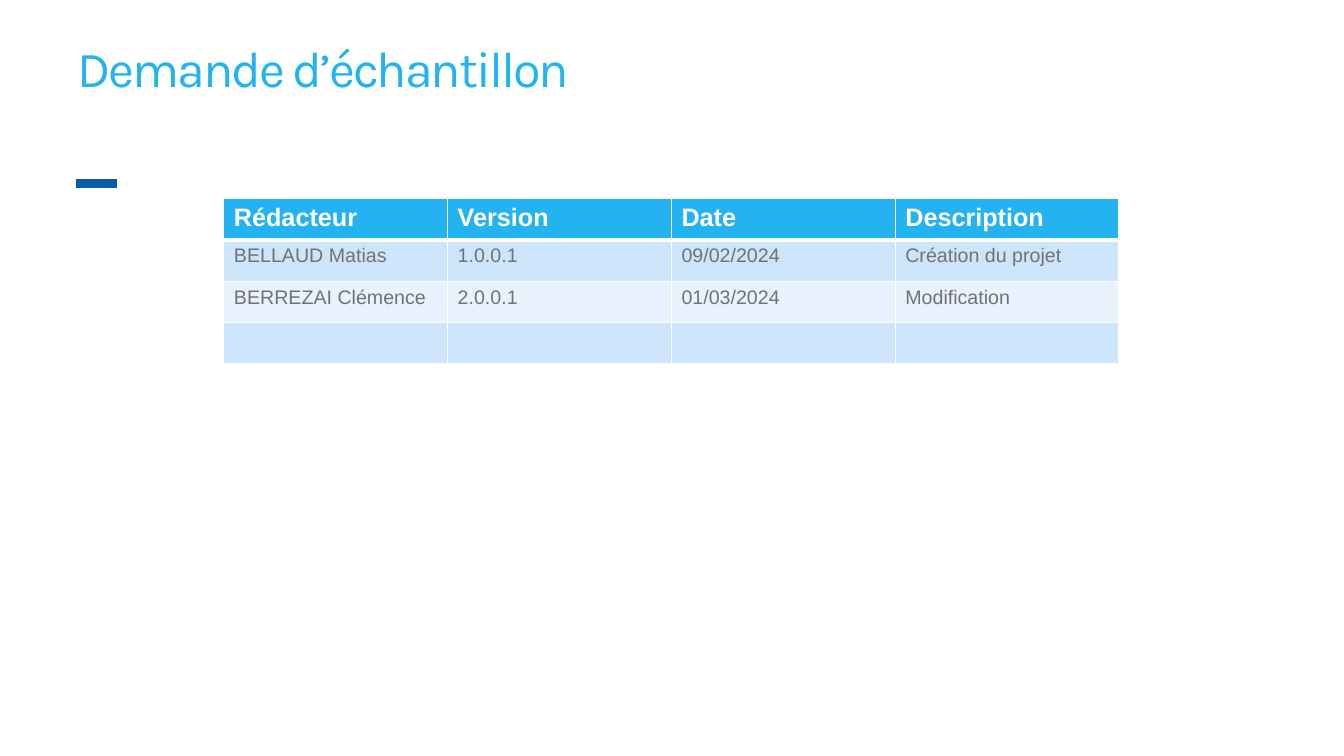
from lxml import etree
from pptx import Presentation
from pptx.dml.color import RGBColor
from pptx.enum import shapes, text
from pptx.oxml import ns
from pptx.util import Inches, Pt

WHITE, CYAN, BLUE, GREY = "FFFFFF", "24B3F1", "085CA6", "737272"
BANDS = ["CDE5FA", "E8F2FC"]
ROWS = [
    ["Rédacteur", "Version", "Date", "Description"],
    ["BELLAUD Matias", "1.0.0.1", "09/02/2024", "Création du projet"],
    ["BERREZAI Clémence", "2.0.0.1", "01/03/2024", "Modification"],
    ["", "", "", ""],
]


def rgb(color):
    return RGBColor.from_string(color)


def sub(parent, tag, **attrs):
    return etree.SubElement(parent, ns.qn(tag), **attrs)


class Deck:
    def __init__(self):
        self.prs = Presentation()
        self.prs.slide_width, self.prs.slide_height = Inches(13.33), Inches(7.5)
        self.s = self.prs.slides.add_slide(self.prs.slide_layouts[6])

    def style(self, p, font, size, color, bold=False):
        for r in p.runs:
            r.font.name, r.font.size, r.font.bold = font, Pt(size), bold
            r.font.color.rgb = rgb(color)

    def title(self, words, x, y, w, h):
        tf = self.s.shapes.add_textbox(*map(Inches, (x, y, w, h))).text_frame
        tf.word_wrap = True
        tf.vertical_anchor = text.MSO_ANCHOR.TOP
        p = tf.paragraphs[0]
        p.text = words
        p.line_spacing = 0.9
        self.style(p, "Karla", 36, CYAN)
        p.runs[0].font._element.set("spc", "-150")

    def line(self, x1, y1, x2, y2, color, width):
        c = self.s.shapes.add_connector(
            shapes.MSO_CONNECTOR.STRAIGHT, *map(Inches, (x1, y1, x2, y2)))
        c.line.color.rgb = rgb(color)
        c.line.width = Pt(width)
        sub(c._element.spPr, "a:effectLst")

    def borders(self, cell, **widths):
        """Draw white cell borders; widths are points keyed by side (L, R, T, B)."""
        tc_pr = cell._tc.get_or_add_tcPr()
        for side, width in widths.items():
            ln = sub(tc_pr, f"a:ln{side}", w=str(Pt(width)))
            sub(sub(ln, "a:solidFill"), "a:srgbClr", val=WHITE)

    def table(self, rows, x, y, col_w, row_h):
        n, m = len(rows), len(rows[0])
        table = self.s.shapes.add_table(
            n, m, Inches(x), Inches(y), Inches(col_w * m), Inches(row_h * n)).table
        for col in table.columns:
            col.width = Inches(col_w)
        for i, row in enumerate(rows):
            table.rows[i].height = Inches(row_h)
            for j, words in enumerate(row):
                cell = table.cell(i, j)
                self.borders(cell, L=1, R=1, T=3 if i == 1 else 1, B=3 if i == 0 else 1)
                cell.fill.solid()
                cell.fill.fore_color.rgb = rgb(BANDS[(i - 1) % 2] if i else CYAN)
                cell.text_frame.text = words
                size, color = (14, GREY) if i else (18, WHITE)
                self.style(cell.text_frame.paragraphs[0], "Arial", size, color, i == 0)


def main():
    deck = Deck()
    deck.line(0.75, 1.82, 1.16, 1.82, BLUE, 6)
    deck.title("Demande d’échantillon", 0.67, 0.39, 10.55, 0.69)
    deck.table(ROWS, 2.22, 1.97, 2.22, 0.41)
    deck.prs.save("out.pptx")


if __name__ == "__main__":
    main()
